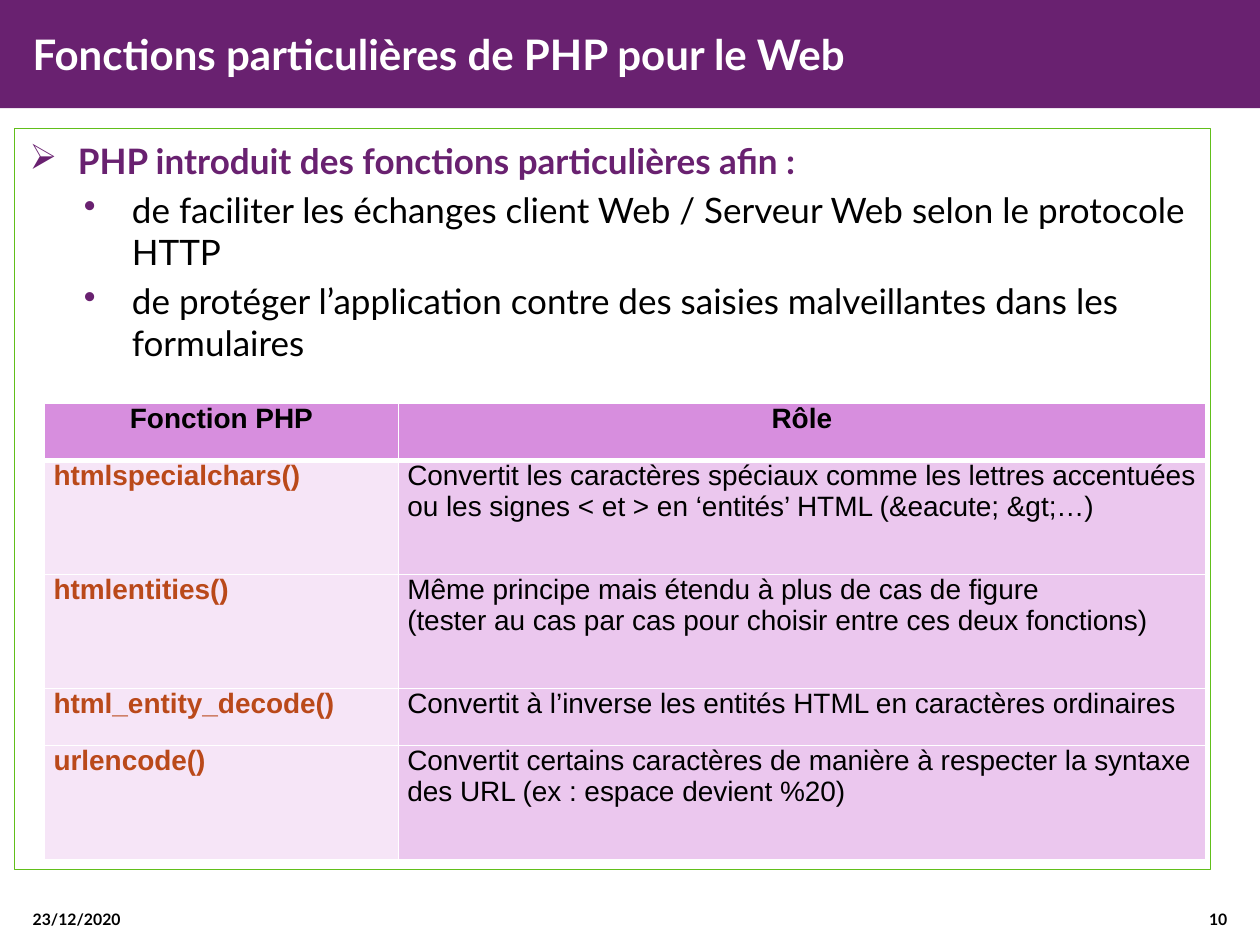
from lxml.etree import SubElement
from pptx import Presentation
from pptx.dml.color import RGBColor
from pptx.enum.shapes import MSO_SHAPE
from pptx.enum.text import MSO_ANCHOR, PP_ALIGN
from pptx.oxml.ns import qn
from pptx.util import Cm, Pt

PURPLE, GREEN, WHITE, BLACK, RUST = "692170", "61BF1A", "FFFFFF", "000000", "BA491A"
HEADER_FILL, NAME_FILL, ROLE_FILL = "D78EDE", "F6E5F7", "EBC7EE"


def color(hex_string):
    """Return the colour for a hex string."""
    return RGBColor.from_string(hex_string)


def write(paragraph, text, name, size, hex_string, bold):
    """Fill a paragraph with text in one font."""
    paragraph.text = text
    font = paragraph.font
    font.name, font.size, font.bold = name, Pt(size), bold
    font.color.rgb = color(hex_string)


presentation = Presentation()
presentation.slide_width, presentation.slide_height = Cm(25.4), Cm(19.05)
slide = presentation.slides.add_slide(presentation.slide_layouts[6])
shapes = slide.shapes

# Title band
band = shapes.add_shape(MSO_SHAPE.RECTANGLE, 0, 0, Cm(25.4), Cm(2.18))
band.shadow.inherit = False
band.fill.solid()
band.fill.fore_color.rgb = color(PURPLE)
band.line.fill.background()

# Title, date and page number
labels = [
    ("Fonctions particulières de PHP pour le Web", 0.05, 0, 22.63, 2.18, 0.61,
     24, WHITE, MSO_ANCHOR.MIDDLE, PP_ALIGN.LEFT),
    ("23/12/2020", 0.41, 17.83, 2.97, 1.02, 0.25,
     9, BLACK, MSO_ANCHOR.BOTTOM, PP_ALIGN.LEFT),
    ("10", 16.89, 17.83, 8.1, 1.02, 0.25,
     9, BLACK, MSO_ANCHOR.BOTTOM, PP_ALIGN.RIGHT),
]
for text, left, top, width, height, inset, size, ink, anchor, alignment in labels:
    label = shapes.add_textbox(Cm(left), Cm(top), Cm(width), Cm(height))
    frame = label.text_frame
    frame.word_wrap = True
    frame.margin_left = Cm(inset)
    frame.vertical_anchor = anchor
    frame.paragraphs[0].alignment = alignment
    write(frame.paragraphs[0], text, "Lato", size, ink, True)

# Framed bullet list
body = shapes.add_textbox(Cm(0.3), Cm(2.59), Cm(24.1), Cm(14.94))
body.line.color.rgb = color(GREEN)
body.line.width = Pt(0.75)
body.text_frame.word_wrap = True
bullets = [
    ("PHP introduit des fonctions particulières afin :", 0, 1.02, "➢", 6, PURPLE),
    ("de faciliter les échanges client Web / Serveur Web selon le protocole HTTP",
     1, 2.11, "•", 4, BLACK),
    ("de protéger l’application contre des saisies malveillantes dans les formulaires",
     1, 2.11, "•", 4, BLACK),
]
for index, (text, level, indent, mark, space, ink) in enumerate(bullets):
    frame = body.text_frame
    paragraph = frame.add_paragraph() if index else frame.paragraphs[0]
    paragraph.level = level
    paragraph.space_before = Pt(space)
    if level == 0:
        paragraph.line_spacing = Pt(27)
    properties = paragraph._p.get_or_add_pPr()
    properties.set("marL", str(Cm(indent)))
    properties.set("indent", str(Cm(-0.97)))
    bullet_color = SubElement(properties, qn("a:buClr"))
    SubElement(bullet_color, qn("a:srgbClr"), val=PURPLE)
    SubElement(properties, qn("a:buChar"), char=mark)
    write(paragraph, text, "Lato", 20, ink, level == 0)

# Function table
rows = [
    ("Fonction PHP", "Rôle"),
    ("htmlspecialchars()",
     "Convertit les caractères spéciaux comme les lettres accentuées ou les signes "
     "< et > en ‘entités’ HTML (&eacute; &gt;…)"),
    ("htmlentities()",
     "Même principe mais étendu à plus de cas de figure \n"
     "(tester au cas par cas pour choisir entre ces deux fonctions)"),
    ("html_entity_decode()",
     "Convertit à l’inverse les entités HTML en caractères ordinaires"),
    ("urlencode()",
     "Convertit certains caractères de manière à respecter la syntaxe des URL "
     "(ex\u00a0: espace devient %20)"),
]
row_heights = [1.15, 2.3, 2.3, 1.15, 2.3]
table = shapes.add_table(len(rows), 2, Cm(0.9), Cm(8.13), Cm(23.4), Cm(9.2)).table
table.columns[0].width, table.columns[1].width = Cm(7.13), Cm(16.27)
for row_index, (texts, height) in enumerate(zip(rows, row_heights)):
    table.rows[row_index].height = Cm(height)
    is_header = row_index == 0
    for column_index, text in enumerate(texts):
        is_name = column_index == 0
        cell = table.cell(row_index, column_index)
        cell.margin_left = cell.margin_right = Cm(0.18)
        cell.margin_top = cell.margin_bottom = 0
        # Borders come before the fill in the cell properties
        for side in "LRTB":
            thick = (row_index, side) in [(0, "B"), (1, "T")]
            border = SubElement(cell._tc.get_or_add_tcPr(), qn("a:ln" + side),
                                w=str(Pt(3 if thick else 1)))
            line_fill = SubElement(border, qn("a:solidFill"))
            SubElement(line_fill, qn("a:srgbClr"), val=WHITE)
        cell.fill.solid()
        body_fill = NAME_FILL if is_name else ROLE_FILL
        cell.fill.fore_color.rgb = color(HEADER_FILL if is_header else body_fill)
        paragraph = cell.text_frame.paragraphs[0]
        paragraph.space_after = Pt(5)
        if is_header:
            paragraph.alignment = PP_ALIGN.CENTER
        else:
            paragraph.alignment = PP_ALIGN.JUSTIFY if is_name else PP_ALIGN.LEFT
        ink = RUST if is_name and not is_header else BLACK
        write(paragraph, text, "Arial", 16, ink, is_header or is_name)

presentation.save("out.pptx")
